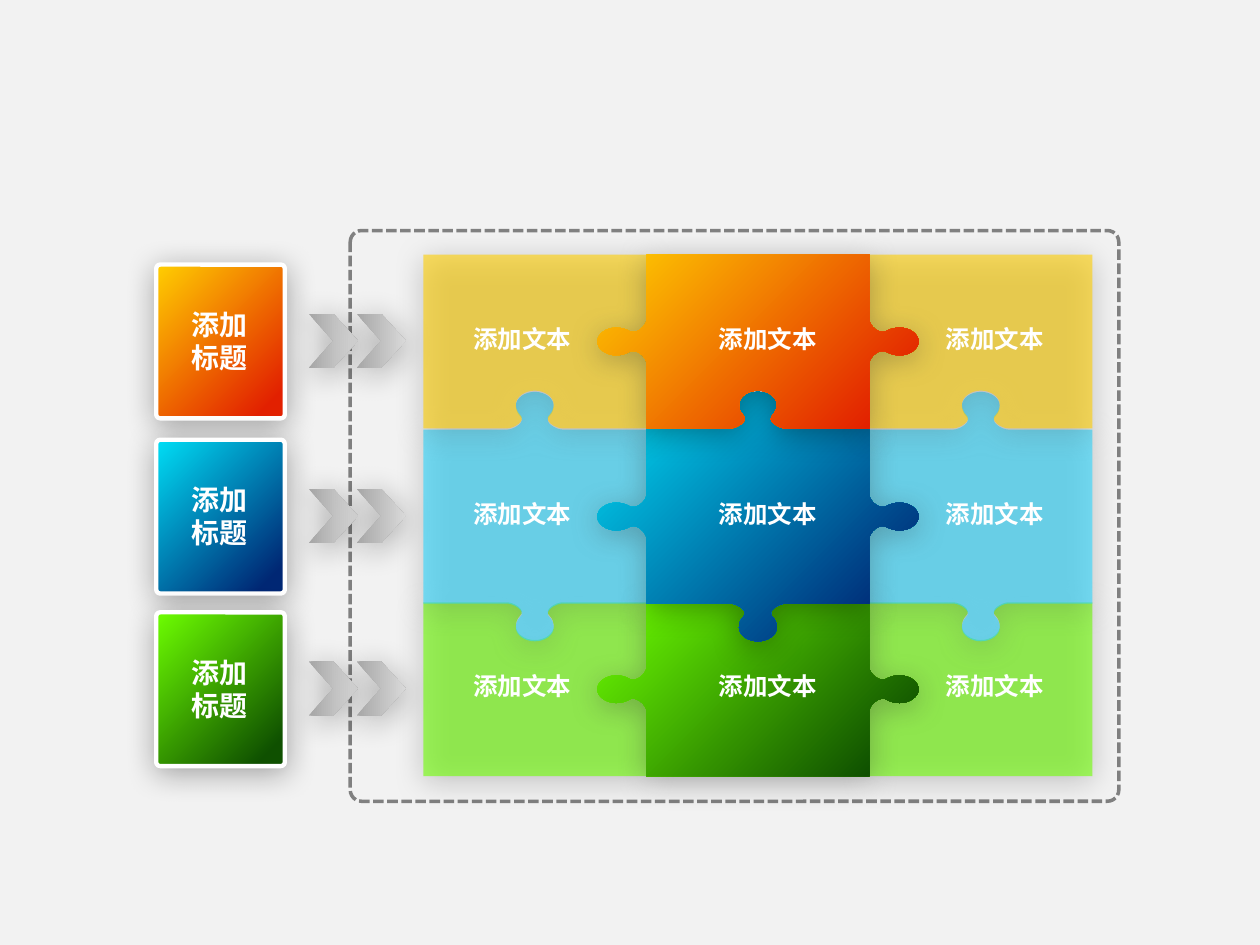
from lxml import etree
from pptx import Presentation
from pptx import util as u
from pptx.dml.color import RGBColor
from pptx.enum import dml, shapes, text
from pptx.oxml.ns import qn

FONT = "Noto Sans CJK SC"
ROW_TOPS = (2.02, 3.41, 4.78)
ROW_HEIGHT = 1.38
COLUMN_LEFT, COLUMN_WIDTH = 3.36, 1.77
GRADIENTS = (("FFCF01", "E22000"), ("00DFF6", "002774"), ("6EFF01", "0F5000"))
TINTS = ("FFCF01", "2DD7FF", "6EFF01")
LABEL_LEFTS = (3.41, 5.36, 7.16)
UP, DOWN, LEFT, RIGHT = (0, -1), (0, 1), (-1, 0), (1, 0)
ROW_SEAMS = (None, UP, DOWN, None)
COLUMN_SEAMS = (None, LEFT, RIGHT, None)
ROW_TAB = (
    (-0.22, 0), (-0.17, 0), (-0.06, 0.06), (-0.12, 0.11), (-0.14, 0.13),
    (-0.15, 0.16), (-0.15, 0.19), (-0.15, 0.25), (-0.08, 0.3), (0, 0.3))
COLUMN_TAB = (
    (-0.17, 0), (-0.13, 0), (-0.04, 0.08), (-0.09, 0.15), (-0.1, 0.17),
    (-0.11, 0.2), (-0.11, 0.24), (-0.11, 0.32), (-0.06, 0.39), (0, 0.39))


def rgb(value):
    """Turn a hex string into a colour."""
    return RGBColor.from_string(value)


def fill_gradient(shape, colors, end=0.9, angle=315):
    """Fill a shape with a two-stop linear gradient."""
    shape.fill.gradient()
    shape.fill.gradient_angle = angle
    for stop, color, position in zip(shape.fill.gradient_stops, colors, (0, end)):
        stop.color.rgb = rgb(color)
        stop.position = position


def fill_tint(shape, color, opacity=60):
    """Fill a shape with a translucent colour."""
    shape.fill.solid()
    shape.fill.fore_color.rgb = rgb(color)
    target = shape._element.spPr.find(qn("a:solidFill"))[0]
    etree.SubElement(target, qn("a:alpha"), val=str(opacity * 1000))


def add_shadow(shape):
    """Give a shape a soft shadow just below it."""
    shape.shadow.inherit = False
    effects = shape._element.spPr.find(qn("a:effectLst"))
    shadow = etree.SubElement(
        effects, qn("a:outerShdw"), blurRad=str(u.Pt(17.8)), dist=str(u.Pt(3)),
        dir=str(87 * 60000), algn="ctr", rotWithShape="0")
    color = etree.SubElement(shadow, qn("a:srgbClr"), val="000000")
    etree.SubElement(color, qn("a:alpha"), val="33000")


def add_shape(page, kind, left, top, width, height):
    """Add a preset shape placed in inches."""
    return page.shapes.add_shape(
        kind, u.Inches(left), u.Inches(top), u.Inches(width), u.Inches(height))


def add_label(page, content, left, top, width, height, size):
    """Add centred bold white text."""
    box = page.shapes.add_textbox(
        u.Inches(left), u.Inches(top), u.Inches(width), u.Inches(height))
    frame = box.text_frame
    frame.word_wrap = True
    frame.auto_size = text.MSO_AUTO_SIZE.SHAPE_TO_FIT_TEXT
    frame.text = content
    for para in frame.paragraphs:
        para.alignment = text.PP_ALIGN.CENTER
        for span in para.runs:
            span.font.name = FONT
            span.font.size = u.Pt(size)
            span.font.bold = True
            span.font.color.rgb = rgb("FFFFFF")
            etree.SubElement(span.font._element, qn("a:ea"), typeface=FONT)


def add_frame(page):
    """Add the dashed frame around the puzzle."""
    frame = add_shape(page, shapes.MSO_SHAPE.ROUNDED_RECTANGLE, 2.78, 1.83, 6.1, 4.53)
    frame.adjustments[0] = 0.02
    frame.fill.background()
    frame.line.color.rgb = rgb("808080")
    frame.line.width = u.Pt(2)
    frame.line.dash_style = dml.MSO_LINE.SQUARE_DOT
    frame._element.spPr.find(".//" + qn("a:prstDash")).set("val", "sysDash")
    frame.shadow.inherit = False


def add_heading(page, top, colors):
    """Add a heading tile with its text."""
    tile = add_shape(page, shapes.MSO_SHAPE.ROUNDED_RECTANGLE, 1.24, top + 0.08, 1.02, 1.22)
    tile.adjustments[0] = 0.03
    fill_gradient(tile, colors)
    tile.line.color.rgb = rgb("FFFFFF")
    tile.line.width = u.Pt(2.5)
    add_shadow(tile)
    add_label(page, "添加\n标题", 1.21, top + 0.37, 1.07, 0.64, 16)


def add_chevrons(page, top):
    """Add the pair of chevrons that leads into a row."""
    for left in (2.45, 2.83):
        chevron = add_shape(page, shapes.MSO_SHAPE.CHEVRON, left, top + 0.47, 0.39, 0.43)
        fill_gradient(chevron, ("A6A6A6", "D9D9D9"), end=1, angle=0)
        chevron.line.fill.background()
        add_shadow(chevron)


def edge(start, end, direction):
    """Return one side as segments: one point for a line, three for a curve."""
    if direction is None:
        return [[end]]
    half = ROW_TAB if direction[1] else COLUMN_TAB
    outline = [*half, *((-along, depth) for along, depth in half[-2::-1])]
    length = sum(abs(b - a) for a, b in zip(start, end))
    middle = [(a + b) / 2 for a, b in zip(start, end)]
    heading = [(b - a) / length for a, b in zip(start, end)]
    tab = [tuple(middle[axis] + along * heading[axis] + depth * direction[axis]
                 for axis in (0, 1)) for along, depth in outline]
    curves = [tab[first:first + 3] for first in range(1, len(tab), 3)]
    return [tab[:1], *curves, [end]]


def bend(piece, segments):
    """Join each three-point segment of a freeform into a cubic curve."""
    lines = iter(list(piece._element.iter(qn("a:lnTo"))))
    for segment in segments:
        group = [next(lines) for _ in segment]
        if len(group) == 3:
            curve = etree.Element(qn("a:cubicBezTo"))
            group[0].addprevious(curve)
            for line in group:
                curve.append(line[0])
                line.getparent().remove(line)


def add_piece(page, row, column):
    """Add one puzzle piece of the grid."""
    left, top = COLUMN_LEFT + column * COLUMN_WIDTH, ROW_TOPS[row]
    right, bottom = left + COLUMN_WIDTH, top + ROW_HEIGHT
    corners = ((left, top), (right, top), (right, bottom), (left, bottom))
    seams = (ROW_SEAMS[row], COLUMN_SEAMS[column + 1],
             ROW_SEAMS[row + 1], COLUMN_SEAMS[column])
    segments = [segment
                for start, end, seam in zip(corners, corners[1:] + corners[:1], seams)
                for segment in edge(start, end, seam)]
    builder = page.shapes.build_freeform(u.Inches(left), u.Inches(top))
    builder.add_line_segments(
        [(u.Inches(x), u.Inches(y)) for segment in segments for x, y in segment])
    piece = builder.convert_to_shape()
    bend(piece, segments)
    if column == 1:
        fill_gradient(piece, GRADIENTS[row])
    else:
        fill_tint(piece, TINTS[row])
    piece.line.fill.background()
    add_shadow(piece)


def main():
    """Build the puzzle slide."""
    deck = Presentation()
    deck.slide_width, deck.slide_height = u.Inches(10), u.Inches(7.5)
    page = deck.slides.add_slide(deck.slide_layouts[6])
    page.background.fill.solid()
    page.background.fill.fore_color.rgb = rgb("F2F2F2")
    add_frame(page)
    for rows in ((2, 1), (0,)):
        for column in (2, 0, 1):
            for row in rows:
                add_piece(page, row, column)
    for top, colors in zip(ROW_TOPS, GRADIENTS):
        for left in LABEL_LEFTS:
            add_label(page, "添加文本", left, top + 0.5, 1.47, 0.34, 14)
        add_heading(page, top, colors)
        add_chevrons(page, top)
    deck.save("out.pptx")


if __name__ == "__main__":
    main()
